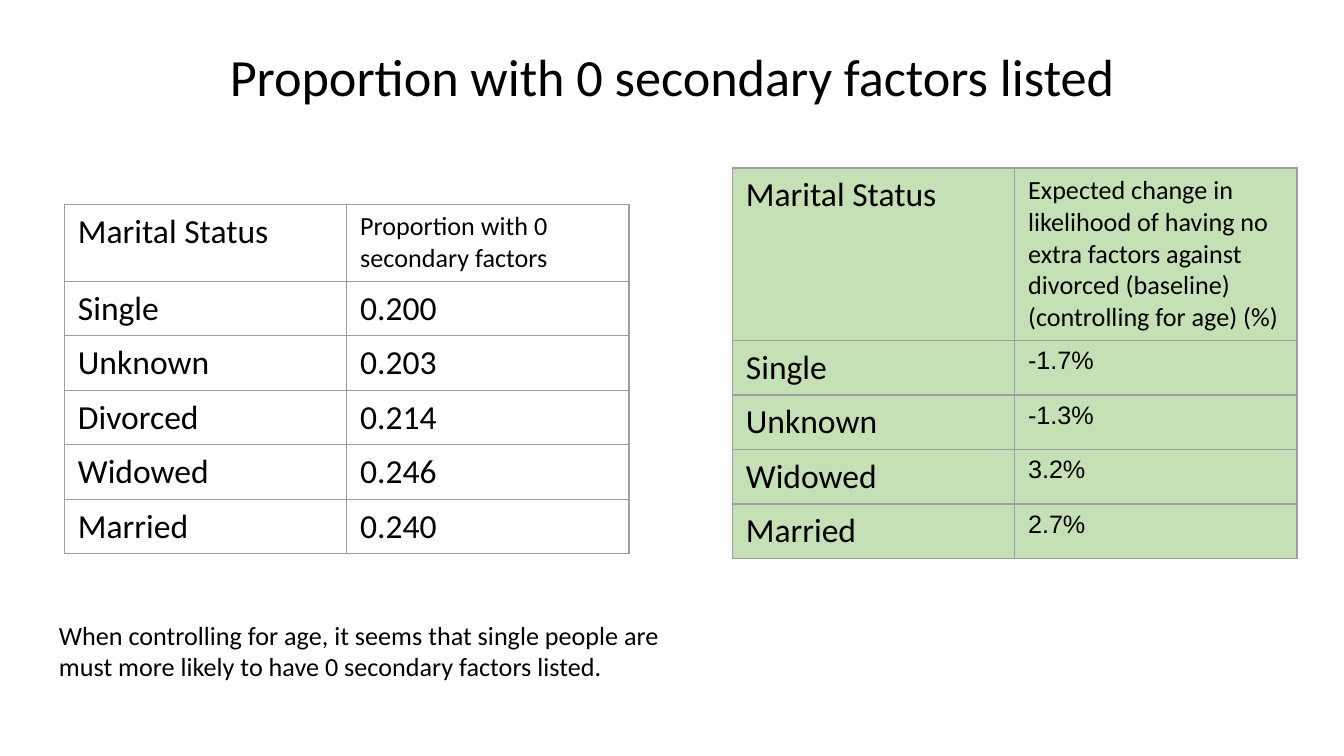
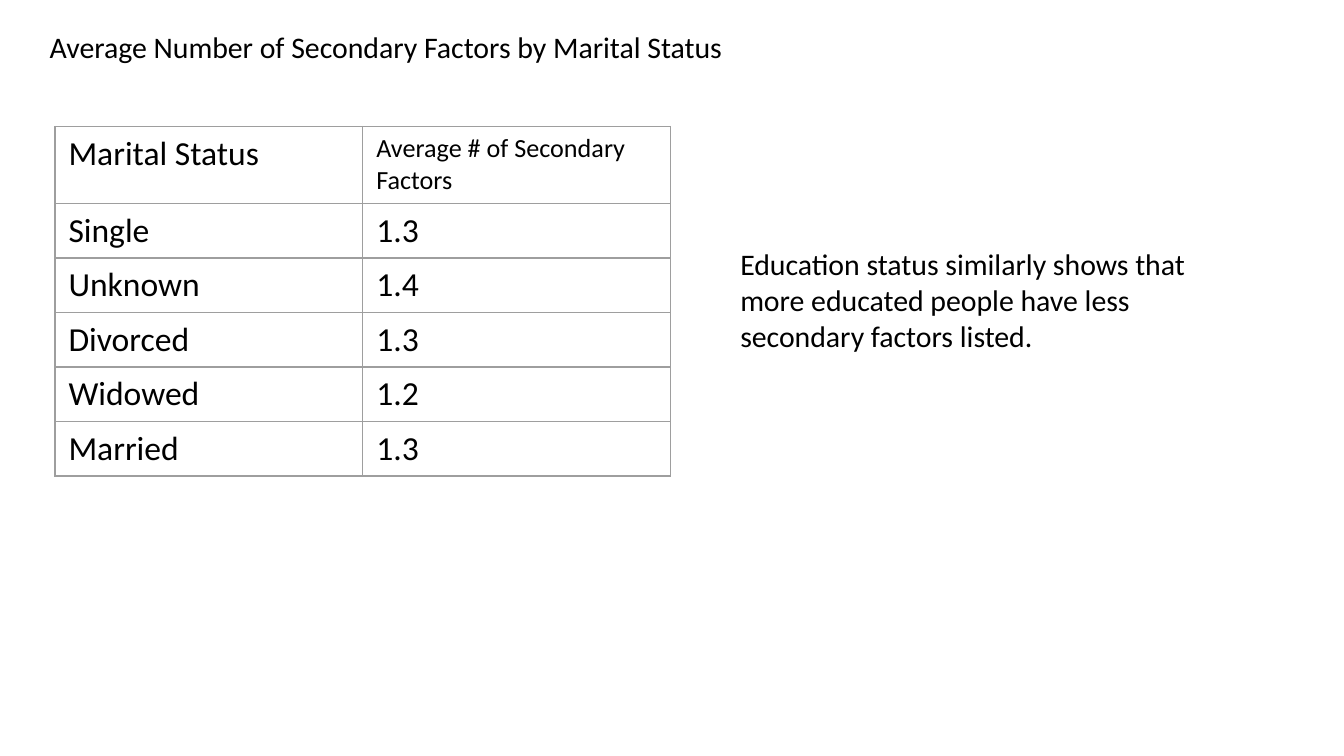
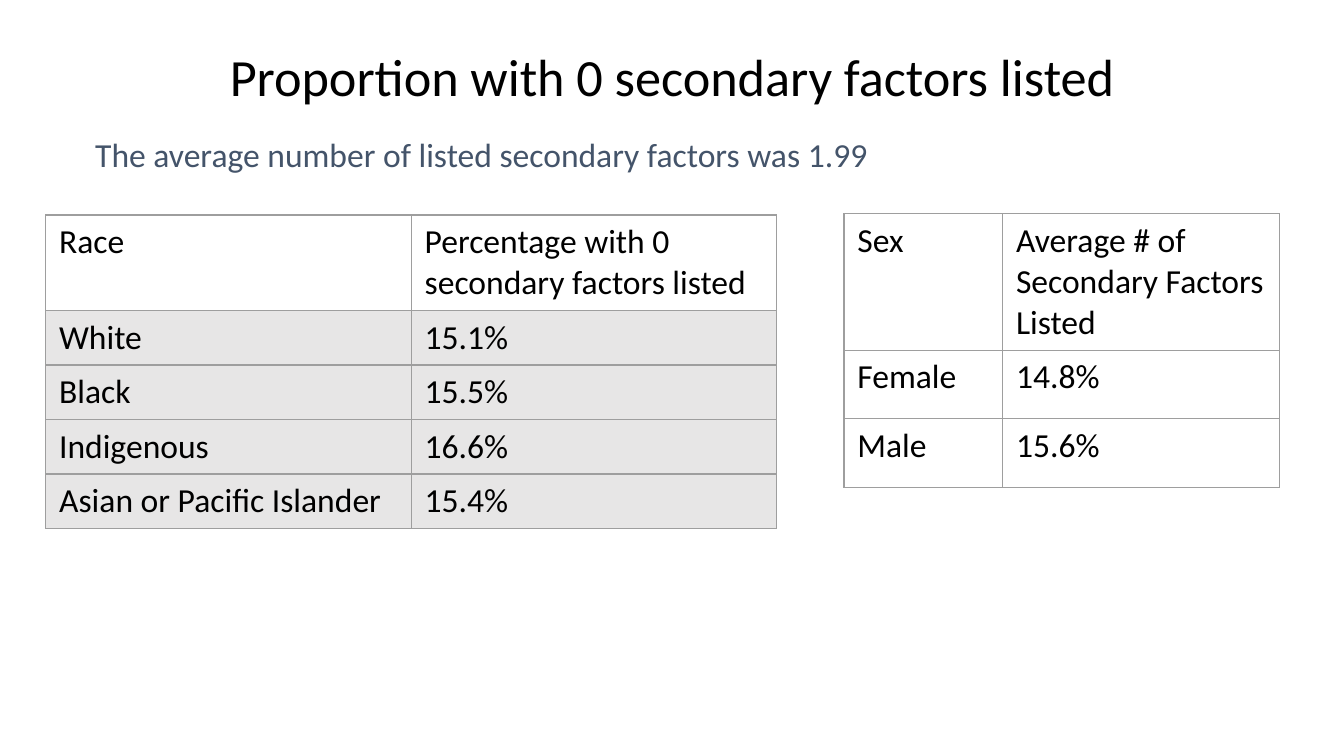
"""Builds three slides comparing secondary factors across groups."""
from lxml import etree
from pptx import Presentation
from pptx import util as u
from pptx.dml.color import RGBColor
from pptx.enum import text
from pptx.oxml.ns import qn

COLOURS = {
    "ink": "000000",
    "slate": "44546A",
    "border": "9E9E9E",
    "green": "C5E0B4",
    "grey": "E7E6E6",
}
FACTORS_TITLE = "Proportion with 0 secondary factors listed"


class Deck:
    """Holds the shared style and the slide being built."""

    def __init__(self):
        self.deck = Presentation()
        self.deck.slide_width = u.Inches(10)
        self.deck.slide_height = u.Inches(10) * 9 // 16
        self.page = None

    def style(self, para, size, font="Calibri", colour="ink"):
        para.font.size = u.Pt(size)
        para.font.name = font
        para.font.color.rgb = RGBColor.from_string(COLOURS[colour])

    def frame(self, box, words, size, inset=0.05, colour="ink"):
        frame = box.text_frame
        frame.word_wrap = True
        frame.auto_size = text.MSO_AUTO_SIZE.NONE
        frame.vertical_anchor = text.MSO_ANCHOR.TOP
        frame.margin_left = frame.margin_right = u.Inches(0.1)
        frame.margin_top = frame.margin_bottom = u.Inches(inset)
        frame.text = words
        para = frame.paragraphs[0]
        para.alignment = text.PP_ALIGN.LEFT
        self.style(para, size, colour=colour)
        return frame

    def title(self, words, place, size, inset=0.05):
        self.page = self.deck.slides.add_slide(self.deck.slide_layouts[5])
        box = self.page.shapes.title
        box.left, box.top, box.width, box.height = map(u.Inches, place)
        return self.frame(box, words, size, inset)

    def centred_title(self, words):
        frame = self.title(words, (0.34, 0.21, 9.32, 0.69), 28, inset=0.1)
        frame.vertical_anchor = text.MSO_ANCHOR.BOTTOM
        frame.paragraphs[0].alignment = text.PP_ALIGN.CENTER
        frame.paragraphs[0].line_spacing = 0.9

    def note(self, words, place, size, inset=0.05, colour="ink"):
        box = self.page.shapes.add_textbox(*map(u.Inches, place))
        self.frame(box, words, size, inset, colour)

    def borders(self, cell):
        properties = cell._tc.get_or_add_tcPr()
        for side in ("a:lnL", "a:lnR", "a:lnT", "a:lnB"):
            line = etree.SubElement(properties, qn(side), w=str(u.Pt(0.75)))
            fill = etree.SubElement(line, qn("a:solidFill"))
            etree.SubElement(fill, qn("a:srgbClr"), val=COLOURS["border"])

    def table(self, rows, corner, widths, header_height, row_height=0.4,
              header_size=18, value_size=18, value_font="Calibri",
              header_fill=None, body_fill=None):
        heights = [header_height] + [row_height] * (len(rows) - 1)
        place = (*corner, sum(widths), sum(heights))
        table = self.page.shapes.add_table(
            len(rows), len(widths), *map(u.Inches, place)).table
        table.first_row = table.horz_banding = False
        for column, width in zip(table.columns, widths):
            column.width = u.Inches(width)
        for r, (values, height) in enumerate(zip(rows, heights)):
            table.rows[r].height = u.Inches(height)
            fill = body_fill if r else header_fill
            for c, value in enumerate(values):
                cell = table.cell(r, c)
                cell.text = value
                size, font = 18, "Calibri"
                if c:
                    size = value_size if r else header_size
                    font = value_font if r else font
                self.style(cell.text_frame.paragraphs[0], size, font)
                self.borders(cell)
                if fill:
                    cell.fill.solid()
                    cell.fill.fore_color.rgb = RGBColor.from_string(COLOURS[fill])
                else:
                    cell.fill.background()


def marital_proportions(deck):
    deck.centred_title(FACTORS_TITLE)
    deck.table([
        ("Marital Status", "Proportion with 0 secondary factors"),
        ("Single", "0.200"),
        ("Unknown", "0.203"),
        ("Divorced", "0.214"),
        ("Widowed", "0.246"),
        ("Married", "0.240"),
    ], (0.48, 1.52), (2.1, 2.1), 0.57, header_size=14)
    deck.note("When controlling for age, it seems that single people are must "
              "more likely to have 0 secondary factors listed.",
              (0.34, 4.56, 4.94, 0.57), 14)
    deck.table([
        ("Marital Status", "Expected change in likelihood of having no extra "
                           "factors against divorced (baseline) "
                           "(controlling for age) (%)"),
        ("Single", "-1.7%"),
        ("Unknown", "-1.3%"),
        ("Widowed", "3.2%"),
        ("Married", "2.7%"),
    ], (5.45, 1.25), (2.1, 2.1), 1.26, header_size=14, value_size=13.5,
        value_font="Arial", header_fill="green", body_fill="green")


def marital_averages(deck):
    deck.title("Average Number of Secondary Factors by Marital Status",
               (0.27, 0.16, 9.45, 0.37), 16)
    deck.table([
        ("Marital Status", "Average # of Secondary Factors"),
        ("Single", "1.3"),
        ("Unknown", "1.4"),
        ("Divorced", "1.3"),
        ("Widowed", "1.2"),
        ("Married", "1.3"),
    ], (0.41, 0.94), (2.29, 2.29), 0.56, header_size=14)
    deck.note("Education status similarly shows that more educated people "
              "have less secondary factors listed.",
              (5.41, 1.78, 3.67, 0.91), 16)


def race_and_sex(deck):
    deck.centred_title(FACTORS_TITLE)
    deck.note("The average number of listed secondary factors was 1.99",
              (0.61, 0.9, 8.17, 0.69), 18, inset=0.1, colour="slate")
    deck.table([
        ("Race", "Percentage with 0 secondary factors listed"),
        ("White", "15.1%"),
        ("Black", "15.5%"),
        ("Indigenous", "16.6%"),
        ("Asian or Pacific Islander", "15.4%"),
    ], (0.34, 1.6), (2.72, 2.72), 0.71, body_fill="grey")
    deck.table([
        ("Sex", "Average # of Secondary Factors Listed"),
        ("Female", "14.8%"),
        ("Male", "15.6%"),
    ], (6.28, 1.59), (1.18, 2.06), 1.01, row_height=0.51)


def main():
    deck = Deck()
    marital_proportions(deck)
    marital_averages(deck)
    race_and_sex(deck)
    deck.deck.save("out.pptx")


if __name__ == "__main__":
    main()
